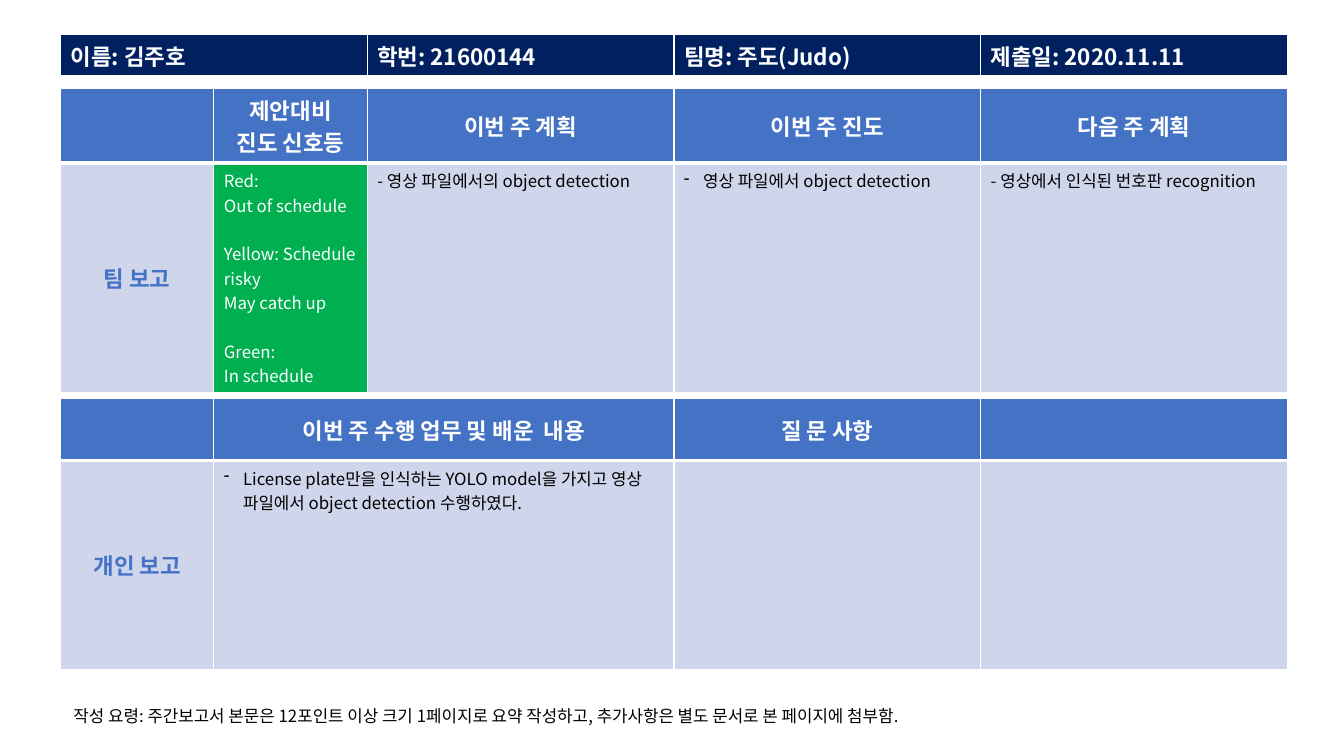
import pptx
import pptx.util
import pptx.dml.color
import pptx.enum.text
import pptx.oxml.ns
from lxml import etree

Inches = pptx.util.Inches
Pt = pptx.util.Pt
RGB = pptx.dml.color.RGBColor
Align = pptx.enum.text.PP_ALIGN
Anchor = pptx.enum.text.MSO_ANCHOR
qn = pptx.oxml.ns.qn

NAVY = RGB(0x00, 0x20, 0x60)
BLUE = RGB(0x44, 0x72, 0xC4)
PALE = RGB(0xCF, 0xD5, 0xEA)
GREEN = RGB(0x00, 0xB0, 0x50)
WHITE = RGB(0xFF, 0xFF, 0xFF)
BLACK = RGB(0x00, 0x00, 0x00)
FONT = "Noto Sans CJK KR"

LEFT, WIDTH = 0.6, 12.17
UNIT = WIDTH / 8  # label column; report columns span two units
HEAD, BODY = 0.62, 2.07


def write(para, text, size, color, bold=False):
    run = para.add_run()
    run.text = text
    font = run.font
    font.size, font.bold, font.name = Pt(size), bold, FONT
    font.color.rgb = color
    etree.SubElement(font._element, qn("a:ea"), typeface=FONT)


def dash(para):
    props = para._p.get_or_add_pPr()
    props.set("marL", str(Inches(0.19)))
    props.set("indent", str(Inches(-0.19)))
    etree.SubElement(props, qn("a:buFontTx"))
    etree.SubElement(props, qn("a:buChar"), char="-")


def edge(cell, top, base):
    props = cell._tc.get_or_add_tcPr()
    for side, width in zip("LRTB", (1, 1, top, base)):
        line = etree.SubElement(props, qn("a:ln" + side), w=str(Pt(width)))
        fill = etree.SubElement(line, qn("a:solidFill"))
        etree.SubElement(fill, qn("a:srgbClr"), val=str(WHITE))


def paint(cell, fill, top=1, base=1):
    edge(cell, top, base)
    cell.fill.solid()
    cell.fill.fore_color.rgb = fill


def fill_cell(cell, lines, size, color, bold=False, center=False):
    """Write one paragraph per line; return the paragraphs."""
    frame = cell.text_frame
    if center:
        cell.vertical_anchor = Anchor.MIDDLE
    for i, text in enumerate(lines):
        para = frame.add_paragraph() if i else frame.paragraphs[0]
        if center:
            para.alignment = Align.CENTER
        write(para, text, size, color, bold)
    return frame.paragraphs


def add_grid(slide, top, cols, rows):
    shape = slide.shapes.add_table(
        len(rows), len(cols), Inches(LEFT), Inches(top),
        Inches(WIDTH), Inches(sum(rows)))
    grid = shape.table
    grid.horz_banding = False
    for col, span in zip(grid.columns, cols):
        col.width = Inches(span * UNIT)
    for row, height in zip(grid.rows, rows):
        row.height = Inches(height)
    return grid


def add_info(slide, top, facts):
    grid = add_grid(slide, top, [2] * len(facts), [0.41])
    for cell, fact in zip(grid.rows[0].cells, facts):
        paint(cell, NAVY, base=3)
        fill_cell(cell, [fact], 16, WHITE, bold=True)


def add_report(slide, top, cols, heads, label):
    """Header row, label cell and pale body; return the body cells."""
    grid = add_grid(slide, top, cols, [HEAD, BODY])
    for cell, lines in zip(grid.rows[0].cells, heads):
        paint(cell, BLUE, base=3)
        fill_cell(cell, lines, 16, WHITE, bold=True, center=True)
    cells = list(grid.rows[1].cells)
    for cell in cells:
        paint(cell, PALE, top=3)
    fill_cell(cells[0], [label], 16, BLUE, bold=True, center=True)
    return cells[1:]


def add_team(slide, top):
    heads = [[], ["제안대비", "진도 신호등"], ["이번 주 계획"],
             ["이번 주 진도"], ["다음 주 계획"]]
    light, plan, done, after = add_report(
        slide, top, [1, 1, 2, 2, 2], heads, "팀 보고")
    light.fill.fore_color.rgb = GREEN
    states = ["Red:", "Out of schedule", "Yellow: Schedule risky",
              "May catch up", "Green:", "In schedule"]
    for para in fill_cell(light, states, 12, WHITE)[2::2]:
        if para.text.startswith(("Yellow", "Green")):
            para.space_before = Pt(17.4)
    fill_cell(plan, ["- 영상 파일에서의 object detection"], 12, BLACK)
    dash(fill_cell(done, ["영상 파일에서 object detection"], 12, BLACK)[0])
    fill_cell(after, ["- 영상에서 인식된 번호판 recognition"], 12, BLACK)


def add_own(slide, top):
    heads = [[], ["이번 주 수행 업무 및 배운  내용"], ["질 문 사항"], []]
    work = add_report(slide, top, [1, 3, 2, 2], heads, "개인 보고")[0]
    text = ("License plate만을 인식하는 YOLO model을 가지고 영상 "
            "파일에서 object detection 수행하였다.")
    dash(fill_cell(work, [text], 12, BLACK)[0])


def add_note(slide, left, top, width, height):
    box = slide.shapes.add_textbox(*map(Inches, (left, top, width, height)))
    box.text_frame.word_wrap = False
    write(box.text_frame.paragraphs[0],
          "작성 요령: 주간보고서 본문은 12포인트 이상 크기 1페이지로 요약 "
          "작성하고, 추가사항은 별도 문서로 본 페이지에 첨부함.", 12, BLACK)


deck = pptx.Presentation()
deck.slide_width, deck.slide_height = Inches(13.33), Inches(7.5)
page = deck.slides.add_slide(deck.slide_layouts[6])

add_info(page, 0.34, ["이름: 김주호", "학번: 21600144",
                      "팀명: 주도(Judo)", "제출일: 2020.11.11"])
add_team(page, 0.88)
add_own(page, 3.95)
add_note(page, 0.63, 6.95, 9.12, 0.3)

deck.save("out.pptx")
